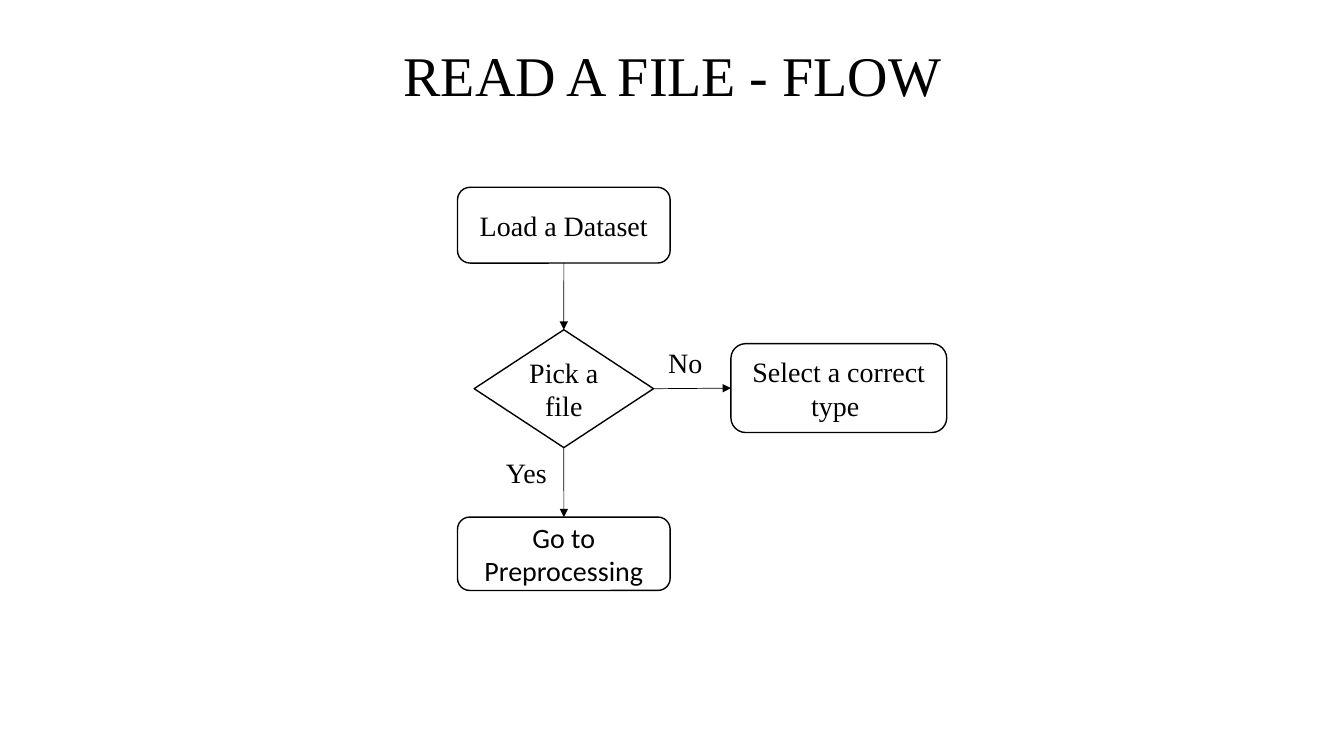
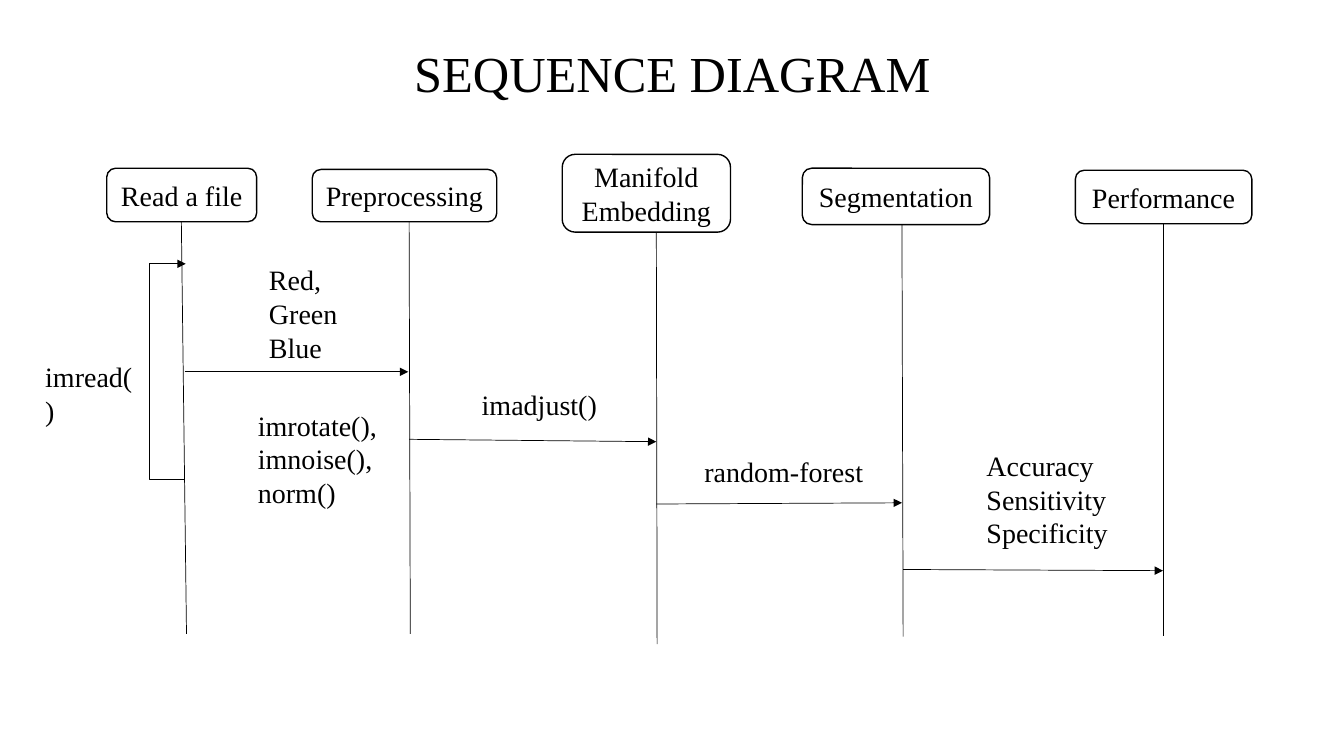
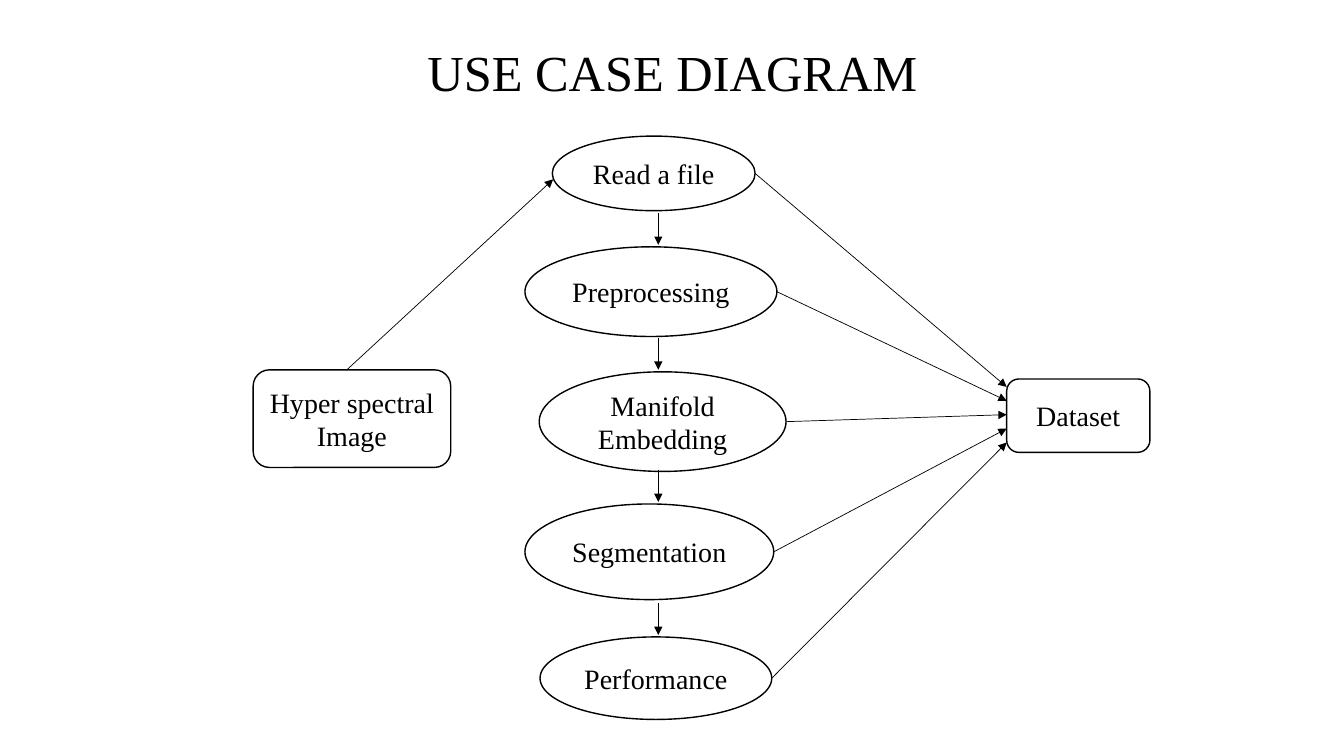
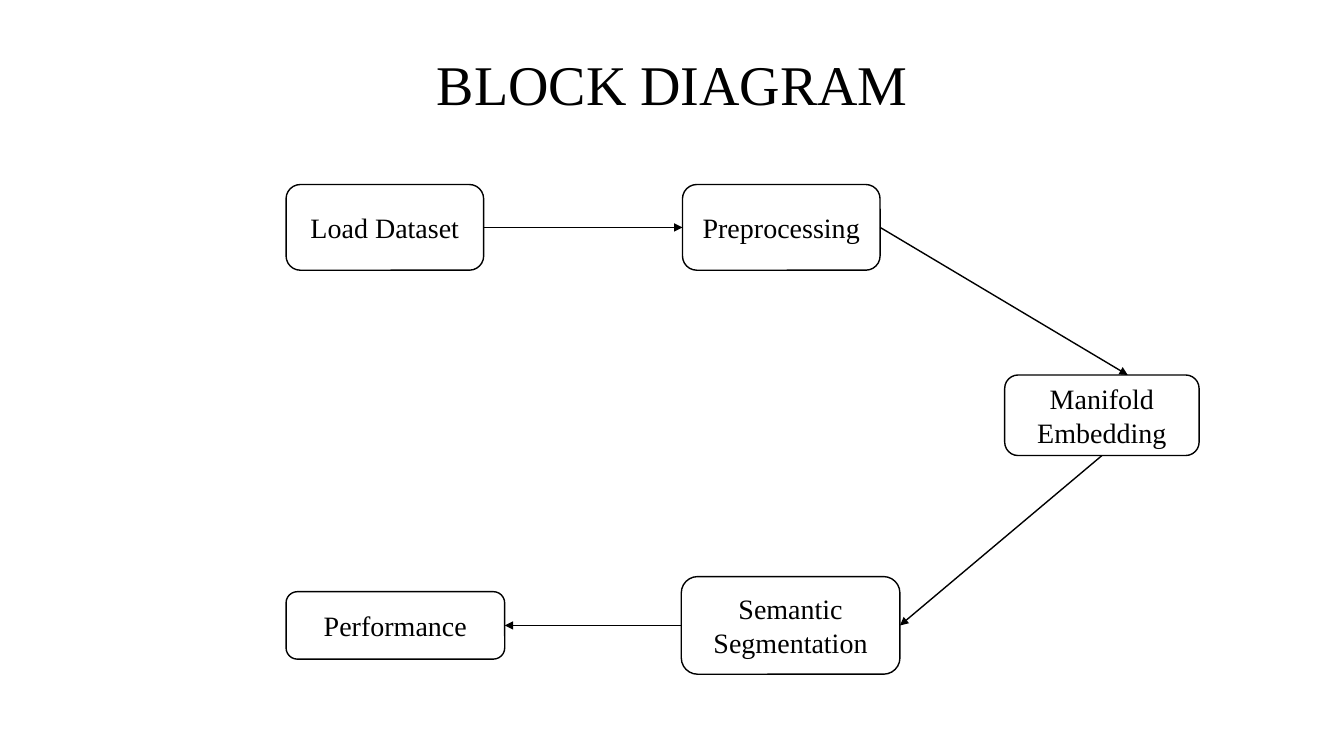
from dataclasses import dataclass

from lxml import etree
from pptx import Presentation
from pptx.dml.color import RGBColor
from pptx.enum.shapes import MSO_CONNECTOR, MSO_SHAPE
from pptx.enum.text import MSO_ANCHOR, MSO_AUTO_SIZE, PP_ALIGN
from pptx.oxml.ns import qn
from pptx.util import Cm, Pt

ROUNDED, DIAMOND, OVAL = MSO_SHAPE.ROUNDED_RECTANGLE, MSO_SHAPE.DIAMOND, MSO_SHAPE.OVAL
STRAIGHT, ELBOW = MSO_CONNECTOR.STRAIGHT, MSO_CONNECTOR.ELBOW
MIDDLE, CENTER, LEFT = MSO_ANCHOR.MIDDLE, PP_ALIGN.CENTER, PP_ALIGN.LEFT
# Connection sites of rounded boxes and diamonds
TOP_SITE, LEFT_SITE, BOTTOM_SITE, RIGHT_SITE = range(4)


@dataclass(frozen=True)
class Theme:
    ink: RGBColor = RGBColor(0, 0, 0)
    paper: RGBColor = RGBColor(255, 255, 255)
    font: str = "Times New Roman"
    alternate_font: str = "Calibri"
    title_large: int = 40
    title_small: int = 36
    body: int = 20
    outline: float = 1
    hairline: float = 0.5


theme = Theme()


def add_box(page, lines, left, top, width, height, kind=None, font=theme.font):
    """Add an outlined shape, or a plain label when no kind is given."""
    place = Cm(left), Cm(top), Cm(width), Cm(height)
    if kind is None:
        box = page.shapes.add_textbox(*place)
        box.text_frame.word_wrap = False
    else:
        box = page.shapes.add_shape(kind, *place)
        box.shadow.inherit = False
        box.fill.solid()
        box.fill.fore_color.rgb = theme.paper
        box.line.color.rgb = theme.ink
        box.line.width = Pt(theme.outline)
        box.text_frame.word_wrap = True
        box.text_frame.vertical_anchor = MIDDLE
    for index, line in enumerate(lines.split("\n")):
        frame = box.text_frame
        para = frame.add_paragraph() if index else frame.paragraphs[0]
        para.alignment = CENTER if kind else LEFT
        span = para.add_run()
        span.text = line
        span.font.name = font
        span.font.size = Pt(theme.body)
        span.font.color.rgb = theme.ink
    return box


def add_line(page, start, end, width=theme.hairline, arrow=True, kind=STRAIGHT):
    """Join two ends, each an (x, y) point in cm or a (box, site) pair."""
    points = [(0, 0) if hasattr(spot[0], "text_frame") else spot for spot in (start, end)]
    line = page.shapes.add_connector(kind, *[Cm(value) for point in points for value in point])
    if points[0] != start:
        line.begin_connect(*start)
    if points[1] != end:
        line.end_connect(*end)
    line.line.color.rgb = theme.ink
    line.line.width = Pt(width)
    properties = line._element.spPr
    if arrow:
        etree.SubElement(properties.find(qn("a:ln")), qn("a:tailEnd"), type="triangle")
    etree.SubElement(properties, qn("a:effectLst"))
    return line


deck = Presentation()
deck.slide_width, deck.slide_height = Cm(33.87), Cm(19.05)

# Pages and titles
pages = []
for title, size, height in (
    ("READ A FILE - FLOW", theme.title_large, 1.93),
    ("SEQUENCE DIAGRAM", theme.title_small, 1.78),
    ("USE CASE DIAGRAM", theme.title_small, 1.75),
    ("BLOCK DIAGRAM", theme.title_large, 2.34),
):
    page = deck.slides.add_slide(deck.slide_layouts[5])
    heading = page.shapes.title
    heading.left, heading.top = Cm(2.34), Cm(1.02)
    heading.width, heading.height = Cm(29.21), Cm(height)
    heading.text_frame.vertical_anchor = MIDDLE
    heading.text_frame.auto_size = MSO_AUTO_SIZE.NONE
    para = heading.text_frame.paragraphs[0]
    para.alignment = CENTER
    para.line_spacing = 0.9
    span = para.add_run()
    span.text = title
    span.font.name = theme.font
    span.font.size = Pt(size)
    span.font.color.rgb = theme.ink
    pages.append(page)
flow_page, sequence_page, use_case_page, block_page = pages

# Read a file: flow chart
load = add_box(flow_page, "Load a Dataset", 11.53, 4.72, 5.36, 1.91, ROUNDED)
pick = add_box(flow_page, "Pick a file", 11.95, 8.31, 4.52, 2.97, DIAMOND)
select = add_box(flow_page, "Select a correct type ", 18.42, 8.66, 5.44, 2.24, ROUNDED)
proceed = add_box(flow_page, "Go to Preprocessing", 11.53, 13.03, 5.36, 1.85, ROUNDED,
                  theme.alternate_font)
add_line(flow_page, (load, BOTTOM_SITE), (pick, TOP_SITE))
add_line(flow_page, (pick, RIGHT_SITE), (select, LEFT_SITE))
add_line(flow_page, (pick, BOTTOM_SITE), (proceed, TOP_SITE))
add_box(flow_page, "No", 16.59, 8.59, 1.4, 1.12)
add_box(flow_page, "Yes", 12.5, 11.35, 1.55, 1.12)

# Sequence diagram: participants with lifelines
lifeline_length = 10.38
for name, left, top, width, height, head_x, foot_x in (
    ("Read a file", 2.69, 4.24, 3.78, 1.35, 4.57, 4.7),
    ("Preprocessing", 7.87, 4.27, 4.65, 1.32, 10.31, 10.34),
    ("Manifold Embedding", 14.17, 3.89, 4.24, 1.96, 16.54, 16.56),
    ("Segmentation", 20.22, 4.24, 4.72, 1.42, 22.73, 22.76),
    ("Performance", 27.1, 4.29, 4.45, 1.35, 29.31, 29.31),
):
    add_box(sequence_page, name, left, top, width, height, ROUNDED)
    bottom = top + height
    add_line(sequence_page, (head_x, bottom), (foot_x, bottom + lifeline_length), arrow=False)

# Sequence diagram: messages
for start, end in (
    ((4.65, 9.37), (10.29, 9.37)),
    ((10.31, 11.07), (16.54, 11.13)),
    ((16.54, 12.7), (22.73, 12.67)),
    ((22.76, 14.35), (29.31, 14.38)),
):
    add_line(sequence_page, start, end)
self_call = add_line(sequence_page, (4.65, 12.07), (4.68, 6.65), kind=ELBOW)
bend = round(-0.89 / 0.03 * 100000)
guides = self_call._element.spPr.find(qn("a:prstGeom")).get_or_add_avLst()
etree.SubElement(guides, qn("a:gd"), name="adj1", fmla=f"val {bend}")

for text, left, top, width, height in (
    ("imread()", 0.89, 8.94, 2.92, 1.12),
    ("Red,\nGreen\nBlue", 6.53, 6.5, 2.24, 2.44),
    ("imrotate(),\nimnoise(),\nnorm()", 6.25, 10.16, 3.63, 2.82),
    ("imadjust()", 11.89, 9.65, 3.43, 1.12),
    ("random-forest", 17.5, 11.33, 4.7, 1.12),
    ("Accuracy\nSensitivity\nSpecificity", 24.61, 11.18, 3.58, 2.82),
):
    add_box(sequence_page, text, left, top, width, height)

# Use case diagram: each case points to the next one and to the dataset
add_box(use_case_page, "Hyper spectral Image", 6.38, 9.32, 4.98, 2.46, ROUNDED)
add_box(use_case_page, "Dataset", 25.37, 9.55, 3.61, 1.85, ROUNDED)
add_line(use_case_page, (8.74, 9.32), (13.94, 4.52))
for index, (name, left, top, width, height) in enumerate((
    ("Read a file", 13.92, 3.43, 5.11, 1.88),
    ("Preprocessing", 13.23, 6.22, 6.35, 2.26),
    ("Manifold Embedding", 13.59, 9.37, 6.22, 2.51),
    ("Segmentation", 13.23, 12.7, 6.27, 2.41),
    ("Performance", 13.61, 16.05, 5.84, 2.08),
)):
    add_box(use_case_page, name, left, top, width, height, OVAL)
    add_line(use_case_page, (left + width, top + height / 2), (25.37, 9.75 + 0.35 * index))
    if index:
        add_line(use_case_page, (16.59, top - 0.85), (16.59, top - 0.05))

# Block diagram
dataset, preprocessing, embedding, segmentation, performance = [
    add_box(block_page, name, left, top, width, height, ROUNDED)
    for name, left, top, width, height in (
        ("Load Dataset", 7.21, 4.65, 4.98, 2.16),
        ("Preprocessing", 17.2, 4.65, 4.98, 2.16),
        ("Manifold Embedding", 25.32, 9.45, 4.9, 2.03),
        ("Semantic Segmentation", 17.17, 14.53, 5.51, 2.46),
        ("Performance", 7.21, 14.91, 5.51, 1.7),
    )
]
for start, end in (
    ((dataset, RIGHT_SITE), (preprocessing, LEFT_SITE)),
    ((preprocessing, RIGHT_SITE), (28.42, 9.45)),
    ((embedding, BOTTOM_SITE), (segmentation, RIGHT_SITE)),
    ((segmentation, LEFT_SITE), (performance, RIGHT_SITE)),
):
    add_line(block_page, start, end, theme.outline)

deck.save("out.pptx")
